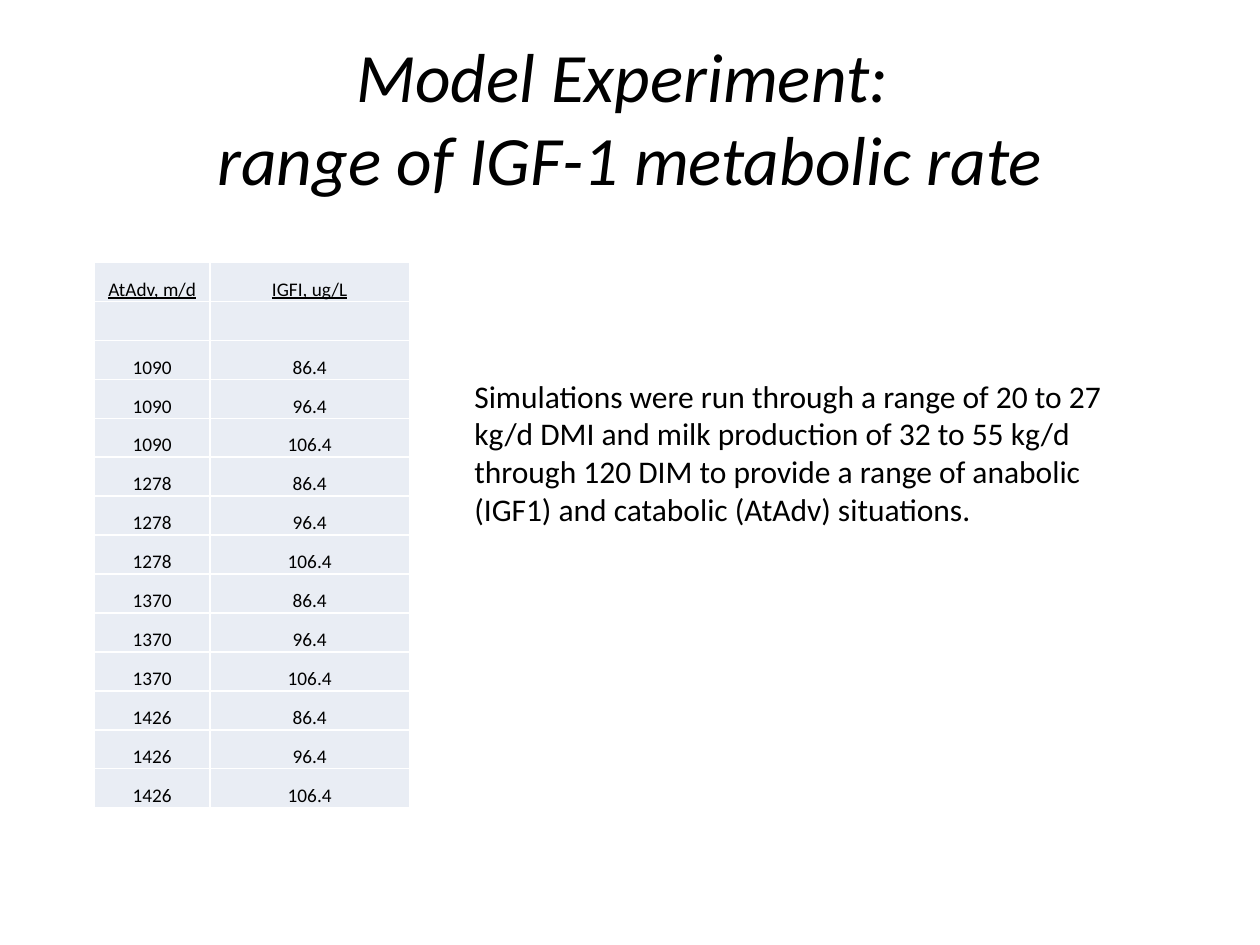
from itertools import product

from lxml import etree
from pptx import Presentation
from pptx.dml.color import RGBColor
from pptx.enum.text import MSO_ANCHOR as ANCHOR, PP_ALIGN as ALIGN
from pptx.oxml.ns import qn
from pptx.util import Pt


def color(hex_value):
    return RGBColor.from_string(hex_value)


class SlideBuilder:
    FONT = "Calibri"
    TEXT = "000000"
    CELL = "E9EDF4"
    BORDER = "FFFFFF"

    def __init__(self, prs):
        self.s = prs.slides.add_slide(prs.slide_layouts[6])

    def set_text(self, tf, text, align, **fmt):
        p = tf.paragraphs[0]
        p.alignment = align
        if not text:
            # An empty line still needs its size to keep the row height
            p._p.get_or_add_endParaRPr().set("sz", str(int(fmt["size"].pt * 100)))
            return
        p.text = text
        for r in p.runs:
            for name, value in {"name": self.FONT, **fmt}.items():
                setattr(r.font, name, value)
            r.font.color.rgb = color(self.TEXT)

    def text_box(self, box, text, align=ALIGN.LEFT, anchor=ANCHOR.TOP, **fmt):
        tf = self.s.shapes.add_textbox(*map(Pt, box)).text_frame
        tf.word_wrap = True
        tf.vertical_anchor = anchor
        self.set_text(tf, text, align, **fmt)

    def border(self, cell):
        tc_pr = cell._tc.get_or_add_tcPr()
        for i, side in enumerate(("lnL", "lnR", "lnT", "lnB")):
            ln = etree.Element(qn(f"a:{side}"), w=str(Pt(1)))
            fill = etree.SubElement(ln, qn("a:solidFill"))
            etree.SubElement(fill, qn("a:srgbClr"), val=self.BORDER)
            tc_pr.insert(i, ln)

    def table(self, left, top, widths, row_height, rows):
        size = (sum(widths), row_height * len(rows))
        table = self.s.shapes.add_table(
            len(rows), len(widths), *map(Pt, (left, top, *size))).table
        table.first_row = table.horz_banding = False
        for col, width in zip(table.columns, widths):
            col.width = Pt(width)
        layout = {"margin_left": Pt(0.7), "margin_right": Pt(0.7),
                  "margin_top": Pt(0.7), "margin_bottom": 0,
                  "vertical_anchor": ANCHOR.BOTTOM}
        for i, values in enumerate(rows):
            table.rows[i].height = Pt(row_height)
            for j, value in enumerate(values):
                cell = table.cell(i, j)
                for name, setting in layout.items():
                    setattr(cell, name, setting)
                cell.fill.solid()
                cell.fill.fore_color.rgb = color(self.CELL)
                self.border(cell)
                self.set_text(cell.text_frame, value, ALIGN.CENTER,
                              size=Pt(11), underline=i == 0)


def main():
    prs = Presentation()
    prs.slide_width, prs.slide_height = Pt(720), Pt(540)
    slide = SlideBuilder(prs)

    # Title
    slide.text_box((36, 21.6, 648, 90),
                   "Model Experiment: \vrange of IGF-1 metabolic rate",
                   ALIGN.CENTER, ANCHOR.MIDDLE, size=Pt(39.6), italic=True)

    # Every metabolic rate is paired with every IGF level
    rates = ("1090", "1278", "1370", "1426")
    levels = ("86.4", "96.4", "106.4")
    rows = [("AtAdv, m/d", "IGFI, ug/L"), ("", ""), *product(rates, levels)]
    slide.table(54, 150, (66, 114), 22.28, rows)

    # Explanation
    slide.text_box((264, 211.7, 390, 94.5),
                   "Simulations were run through a range of 20 to 27 kg/d DMI "
                   "and milk production of 32 to 55 kg/d through 120 DIM to "
                   "provide a range of anabolic (IGF1) and catabolic (AtAdv) "
                   "situations.", size=Pt(18))

    prs.save("out.pptx")


if __name__ == "__main__":
    main()
